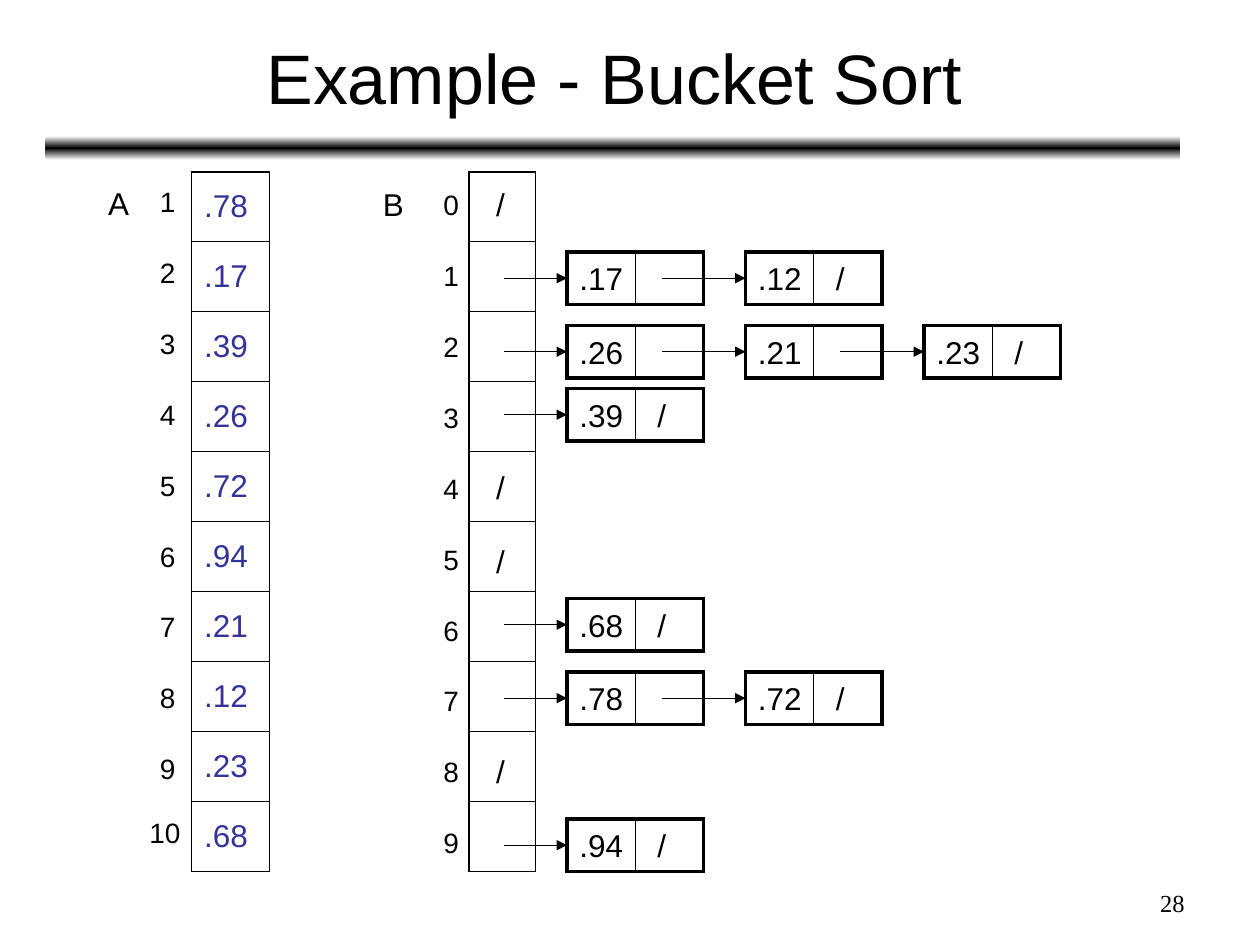
from copy import deepcopy
from dataclasses import dataclass

from lxml import etree
from pptx import Presentation
from pptx import util as u
from pptx.dml.color import RGBColor
from pptx.enum import shapes, text
from pptx.oxml.ns import qn

COLOURS = {"ink": "000000", "value": "333399", "paper": "FFFFFF"}
COLUMNS, ROWS = 120, 90          # grid over the 10 by 7.5 inch slide
NODE_WIDTH, NODE_HEIGHT = 13, 5
NODE_LEFT, NODE_STEP = 54, 17
LINK_STOP = 0.62                 # inches from node text to its end mark
ARRAY_TOP, ARRAY_STEP = 16.35, 6.67
INDEX_STEP = 6.75
ALIGN = text.PP_ALIGN

deck = Presentation()
deck.slide_width, deck.slide_height = u.Inches(10), u.Inches(7.5)
page = deck.slides.add_slide(deck.slide_layouts[6])


@dataclass
class Bucket:
    row: int
    values: list[str]


@dataclass
class Array:
    name: str
    name_at: tuple[float, float]
    left: float
    width: float
    values: list[str]
    first_index: int
    index_at: tuple[float, float]


ARRAYS = [
    Array("A", (9.12, 16.92), 18.24, 7.44,
          [".78", ".17", ".39", ".26", ".72", ".94", ".21", ".12", ".23", ".68"],
          1, (14.04, 17)),
    Array("B", (35.28, 17.04), 44.64, 6.36, [""] * 10, 0, (41.04, 17.3)),
]
BUCKETS = [
    Bucket(24, [".17", ".12"]),
    Bucket(31, [".26", ".21", ".23"]),
    Bucket(37, [".39"]),
    Bucket(57, [".68"]),
    Bucket(64, [".78", ".72"]),
    Bucket(78, [".94"]),
]
EMPTY_BUCKET_ROWS = [17, 44, 51, 71]


def colour(name: str) -> RGBColor:
    return RGBColor.from_string(COLOURS[name])


def across(columns: float) -> int:
    return round(deck.slide_width * columns / COLUMNS)


def down(rows: float) -> int:
    return round(deck.slide_height * rows / ROWS)


def area(left: float, top: float, width: float, height: float) -> tuple:
    return across(left), down(top), across(width), down(height)


def write(frame, words: str, size: float = 18, ink: str = "ink", font: str = "Arial",
          align=ALIGN.LEFT, anchor=text.MSO_ANCHOR.TOP, wrap: bool = False,
          before: float = 0) -> None:
    frame.word_wrap = wrap
    frame.vertical_anchor = anchor
    para = frame.paragraphs[0]
    para.alignment, para.space_before = align, u.Pt(before)
    span = para.add_run()
    span.text = words
    span.font.size, span.font.name = u.Pt(size), font
    span.font.color.rgb = colour(ink)


def add_label(words: str, left: float, top: float, width: float, height: float,
              **style) -> None:
    box = page.shapes.add_textbox(*area(left, top, width, height))
    write(box.text_frame, words, **style)


def add_line(start: tuple = (0, 0), arrow: bool = False):
    x, y = across(start[0]), down(start[1])
    line = page.shapes.add_connector(shapes.MSO_CONNECTOR.STRAIGHT, x, y, x, y)
    line.line.color.rgb, line.line.width = colour("ink"), u.Pt(0.75)
    if arrow:
        etree.SubElement(line.line._get_or_add_ln(), qn("a:tailEnd"), type="triangle")
    etree.SubElement(line._element.spPr, qn("a:effectLst"))
    return line


def set_borders(cell, **widths: float) -> None:
    """Draw cell sides, given as L, R, T, B in points."""
    props = cell._tc.get_or_add_tcPr()
    for place, (side, width) in enumerate(widths.items()):
        edge = etree.Element(qn(f"a:ln{side}"), w=str(u.Pt(width)))
        fill = etree.SubElement(edge, qn("a:solidFill"))
        etree.SubElement(fill, qn("a:srgbClr"), val=COLOURS["ink"])
        props.insert(place, edge)


def add_array(array: Array) -> None:
    count = len(array.values)
    frame = page.shapes.add_table(
        count, 1, *area(array.left, ARRAY_TOP, array.width, ARRAY_STEP * count))
    table = frame.table
    table.first_row = table.horz_banding = False
    for i, value in enumerate(array.values):
        cell = table.cell(i, 0)
        cell.fill.background()
        cell.vertical_anchor = text.MSO_ANCHOR.MIDDLE
        if value:
            write(cell.text_frame, value, ink="value", before=4.5, wrap=True,
                  anchor=text.MSO_ANCHOR.MIDDLE)
        set_borders(cell, L=1.08, R=1.08, T=0.45 if i else 1.08,
                    B=0.45 if i < count - 1 else 1.08)
    add_label(array.name, *array.name_at, 4.32, 4.8)
    left, top = array.index_at
    for i in range(count):
        index = str(array.first_index + i)
        wide = len(index) > 1
        add_label(index, left - wide, top + i * INDEX_STEP - 0.7 * wide,
                  6 if wide else 3.84, 4.44, size=16)


def add_node(value: str, left: float, top: float, last: bool):
    node = page.shapes.add_shape(shapes.MSO_SHAPE.RECTANGLE,
                                 *area(left, top, NODE_WIDTH, NODE_HEIGHT))
    node.shadow.inherit = False
    node.fill.background()
    node.line.color.rgb, node.line.width = colour("ink"), u.Pt(2)
    etree.SubElement(node.line._get_or_add_ln(), qn("a:miter"), lim="800000")
    write(node.text_frame, f"{value}\t/" if last else value, wrap=True,
          anchor=text.MSO_ANCHOR.MIDDLE)
    stops = etree.SubElement(node.text_frame.paragraphs[0]._p.get_or_add_pPr(),
                             qn("a:tabLst"))
    etree.SubElement(stops, qn("a:tab"), pos=str(u.Inches(LINK_STOP)), algn="l")
    divider = add_line()
    divider.begin_connect(node, 0)
    divider.end_connect(node, 2)
    return node


def add_bucket(bucket: Bucket) -> None:
    for i, value in enumerate(bucket.values):
        left = NODE_LEFT + i * NODE_STEP
        node = add_node(value, left, bucket.row, last=i == len(bucket.values) - 1)
        link = add_line((left - (8 if i else 6), bucket.row + NODE_HEIGHT / 2), arrow=True)
        link.end_connect(node, 1)


def add_title_bar() -> None:
    bar = page.shapes.add_shape(shapes.MSO_SHAPE.ROUNDED_RECTANGLE,
                                *area(4.32, 12.96, 108.12, 2.28))
    bar.shadow.inherit = False
    bar.line.fill.background()
    bar.fill.gradient()
    bar.fill.gradient_angle = 90
    stop_list = bar._element.spPr.find(qn("a:gradFill")).find(qn("a:gsLst"))
    stop_list.append(deepcopy(stop_list[0]))
    for stop, place, name in zip(bar.fill.gradient_stops, (0, 0.5, 1),
                                 ("paper", "ink", "paper")):
        stop.position, stop.color.rgb = place, colour(name)


add_title_bar()
add_label("Example - Bucket Sort", 4.5, 1.32, 108, 11.88, size=40, wrap=True,
          align=ALIGN.CENTER, anchor=text.MSO_ANCHOR.MIDDLE)
for array in ARRAYS:
    add_array(array)
for bucket in BUCKETS:
    add_bucket(bucket)
for row in EMPTY_BUCKET_ROWS:
    add_label("/", 46.08, row, 3.24, 4.8)
add_label("28", 86, 84, 28, 4.2, size=14, font="Times New Roman", wrap=True,
          align=ALIGN.RIGHT)
deck.save("out.pptx")
